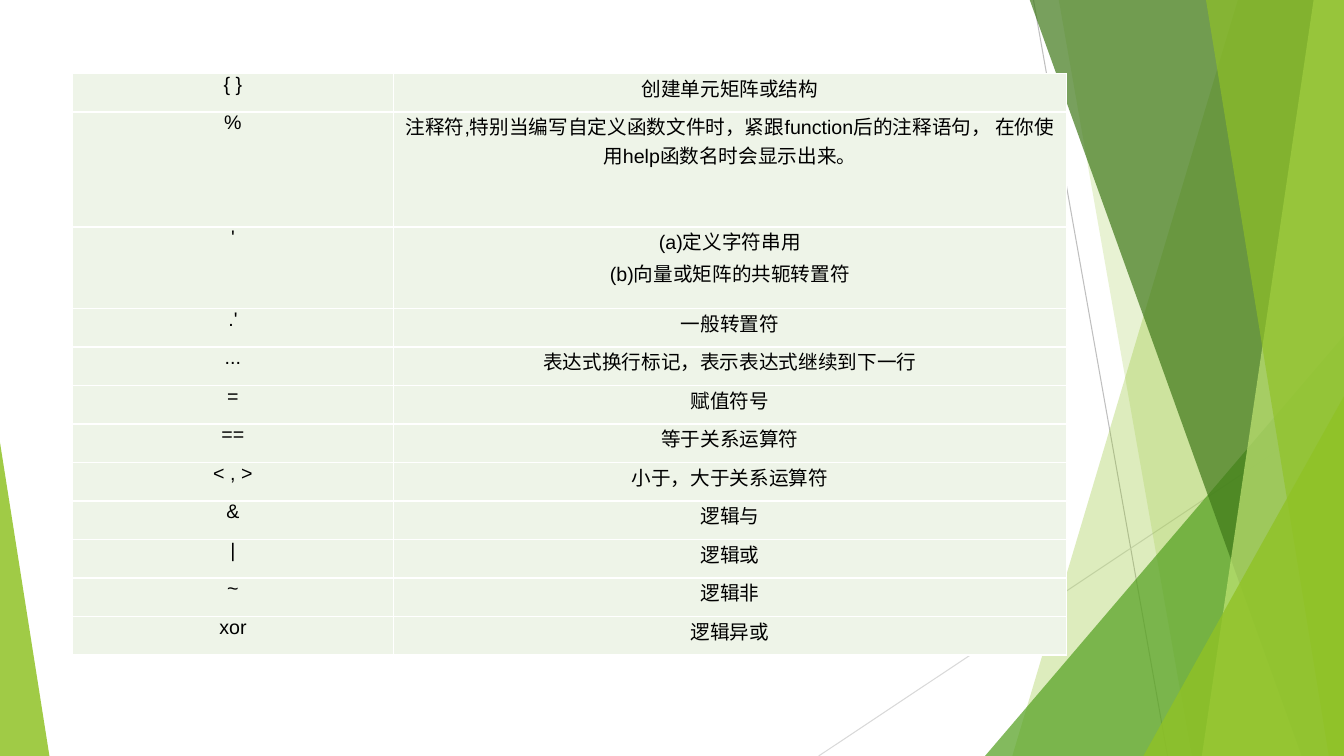
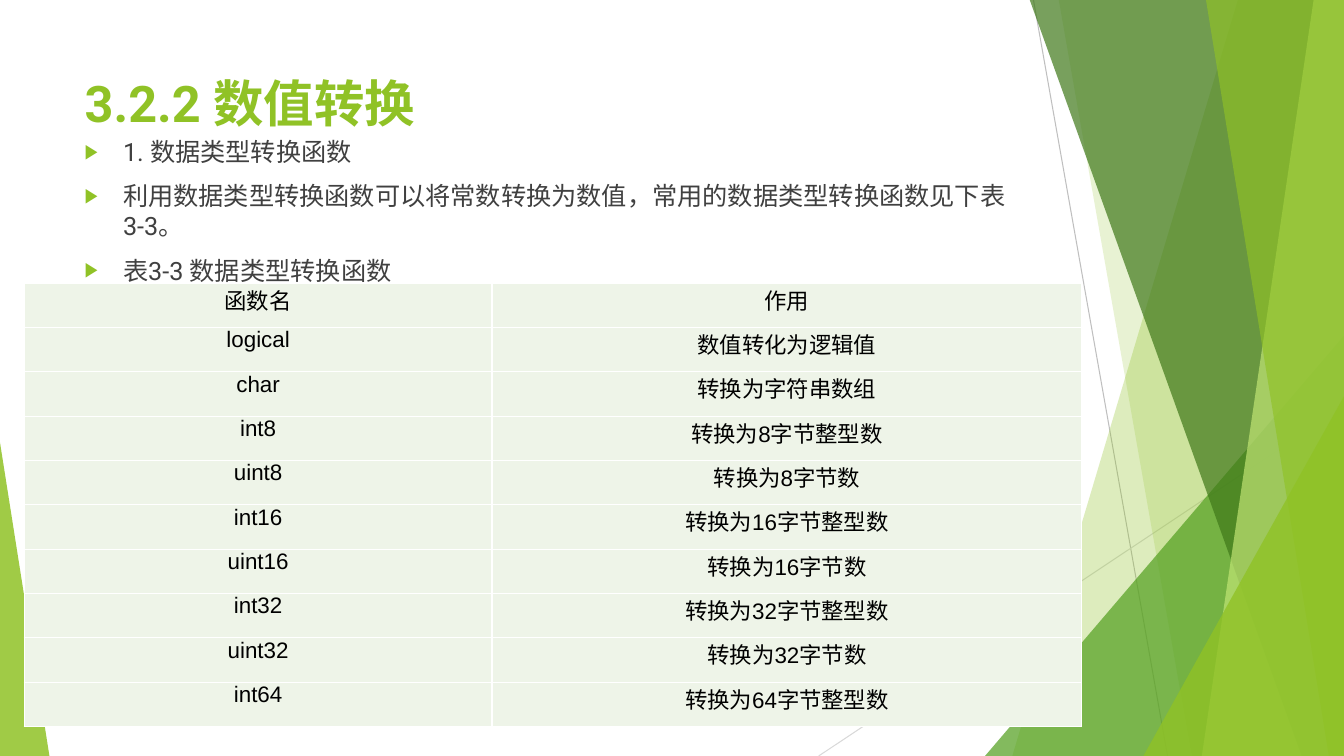
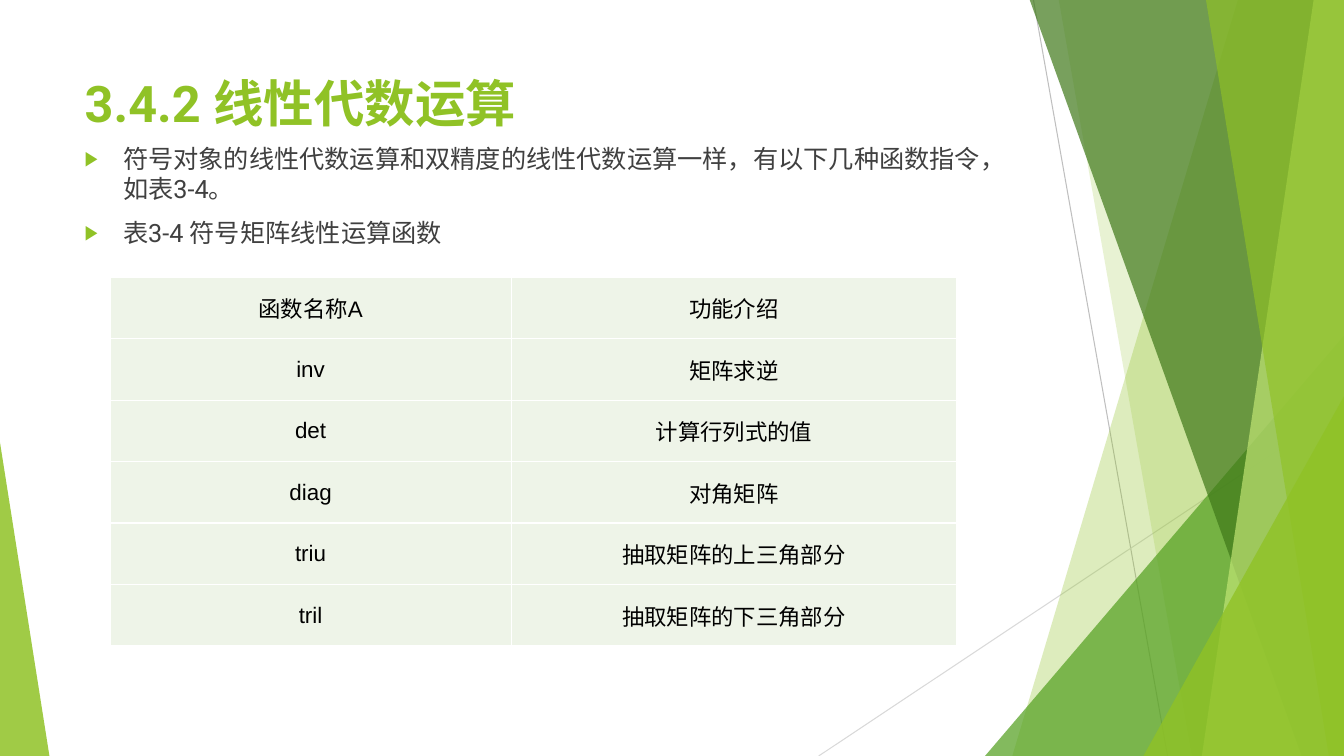
"""Build three slides on operators, conversion functions and linear algebra."""
from dataclasses import dataclass

from lxml.etree import SubElement
from pptx import Presentation
from pptx.dml.color import RGBColor
from pptx.enum.shapes import MSO_CONNECTOR as Connector, MSO_SHAPE as Preset
from pptx.enum.text import MSO_ANCHOR as Anchor, MSO_AUTO_SIZE as AutoSize, PP_ALIGN as Align
from pptx.oxml import parse_xml
from pptx.oxml.ns import nsdecls, qn
from pptx.util import Inches, Pt


@dataclass(frozen=True)
class Theme:
    """Colours, fonts and type sizes of the deck."""

    lime: str = "90C226"
    leaf: str = "54A021"
    forest: str = "3F7819"
    pale: str = "C0E474"
    gray: str = "BFBFBF"
    light_gray: str = "D9D9D9"
    body_text: str = "404040"
    cell_text: str = "000000"
    cell_fill: str = "EEF4E8"
    cell_border: str = "FFFFFF"
    text_font: str = "Roboto"
    table_font: str = "Arial"
    title_size: int = 36
    body_size: int = 18
    table_size: int = 16
    small_table_size: int = 14


THEME = Theme()
WIDTH, HEIGHT = 13.33, 7.5
BLEED_TOP = -0.01
TITLE_BOX = (0.74, 0.67, 9.4, 1.44)
BULLET_INDENT = 0.38

OPERATORS = [
    ("{ }", "创建单元矩阵或结构"),
    ("%", "注释符,特别当编写自定义函数文件时，紧跟function后的注释语句， 在你使用help函数名时会显示出来。"),
    ("'", "(a)定义字符串用\n(b)向量或矩阵的共轭转置符"),
    (".'", "一般转置符"),
    ("...", "表达式换行标记，表示表达式继续到下一行"),
    ("=", "赋值符号"),
    ("==", "等于关系运算符"),
    ("< , >", "小于，大于关系运算符"),
    ("&", "逻辑与"),
    ("|", "逻辑或"),
    ("~", "逻辑非"),
    ("xor", "逻辑异或"),
]
CONVERSIONS = [
    ("函数名", "作用"),
    ("logical", "数值转化为逻辑值"),
    ("char", "转换为字符串数组"),
    ("int8", "转换为8字节整型数"),
    ("uint8", "转换为8字节数"),
    ("int16", "转换为16字节整型数"),
    ("uint16", "转换为16字节数"),
    ("int32", "转换为32字节整型数"),
    ("uint32", "转换为32字节数"),
    ("int64", "转换为64字节整型数"),
]
MATRIX_FUNCTIONS = [
    ("函数名称A", "功能介绍"),
    ("inv", "矩阵求逆"),
    ("det", "计算行列式的值"),
    ("diag", "对角矩阵"),
    ("triu", "抽取矩阵的上三角部分"),
    ("tril", "抽取矩阵的下三角部分"),
]


def color(value):
    """Return the colour object for a hex string."""
    return RGBColor.from_string(value)


def place(shape, box):
    """Move and size a shape, in inches."""
    shape.left, shape.top, shape.width, shape.height = map(Inches, box)


def format_runs(para, size, font, text_color, bold=False):
    """Set the type of every run in a paragraph."""
    for span in para.runs:
        span.font.size = Pt(size)
        span.font.name = font
        span.font.bold = bold
        span.font.color.rgb = color(text_color)


def paint(shape, fill_color, opacity):
    """Give a shape a translucent fill without outline or shadow."""
    shape.shadow.inherit = False
    shape.line.fill.background()
    shape.fill.solid()
    shape.fill.fore_color.rgb = color(fill_color)
    fill = shape.element.xpath("./p:spPr/a:solidFill/a:srgbClr")[0]
    SubElement(fill, qn("a:alpha"), val=str(opacity * 1000))


def add_line(slide, start, end, line_color):
    """Draw a thin straight line."""
    line = slide.shapes.add_connector(Connector.STRAIGHT, *map(Inches, start + end))
    line.line.color.rgb = color(line_color)
    line.line.width = Pt(0.75)
    SubElement(line.element.spPr, qn("a:effectLst"))


def add_band(slide, top_x, bottom_x, fill_color, opacity):
    """Draw a slanted band that reaches the right edge of the slide."""
    corners = [(top_x, BLEED_TOP), (WIDTH, BLEED_TOP), (WIDTH, HEIGHT), (bottom_x, HEIGHT)]
    points = [(Inches(x), Inches(y)) for x, y in corners]
    builder = slide.shapes.build_freeform(*points[0], scale=1.0)
    builder.add_line_segments(points[1:], close=True)
    paint(builder.convert_to_shape(), fill_color, opacity)


def add_corner(slide, left, top, width, tip, fill_color, opacity):
    """Draw a triangle that stands on the bottom edge of the slide."""
    box = map(Inches, (left, top, width, HEIGHT - top))
    corner = slide.shapes.add_shape(Preset.ISOSCELES_TRIANGLE, *box)
    corner.adjustments[0] = tip
    paint(corner, fill_color, opacity)


def add_backdrop(deck, slide):
    """Draw the shared decoration and hand it to the slide master."""
    add_line(slide, (10.25, 0), (11.58, HEIGHT), THEME.gray)
    add_line(slide, (WIDTH, 4.03), (8.12, HEIGHT), THEME.light_gray)
    add_band(slide, 12.28, 10.04, THEME.lime, 30)
    add_band(slide, 10.5, 11.82, THEME.lime, 20)
    add_corner(slide, 9.77, 3.33, 3.56, 1, THEME.leaf, 72)
    add_band(slide, 10.21, 12.91, THEME.forest, 70)
    add_band(slide, 13.03, 11.92, THEME.pale, 70)
    add_band(slide, 11.96, 13.18, THEME.lime, 65)
    add_corner(slide, 11.34, 3.93, 1.99, 1, THEME.lime, 80)
    add_corner(slide, 0, 4.39, 0.49, 0, THEME.lime, 85)
    for number, shape in enumerate(list(slide.shapes), start=100):
        shape.element.xpath(".//p:cNvPr")[0].set("id", str(number))
        deck.slide_master.shapes.element.append(shape.element)


def set_title(slide, text):
    """Fill and format the title placeholder."""
    title = slide.shapes.title
    place(title, TITLE_BOX)
    frame = title.text_frame
    frame.text = text
    frame.auto_size = AutoSize.NONE
    frame.vertical_anchor = Anchor.TOP
    para = frame.paragraphs[0]
    para.alignment = Align.LEFT
    format_runs(para, THEME.title_size, THEME.text_font, THEME.lime, bold=True)


def add_bullet(para):
    """Give a paragraph a green arrow bullet with a hanging indent."""
    props = para._p.get_or_add_pPr()
    props.set("marL", str(Inches(BULLET_INDENT)))
    props.set("indent", str(-Inches(BULLET_INDENT)))
    SubElement(SubElement(props, qn("a:buClr")), qn("a:srgbClr"), val=THEME.lime)
    SubElement(props, qn("a:buSzPct"), val="80000")
    SubElement(props, qn("a:buFont"), typeface=THEME.table_font)
    SubElement(props, qn("a:buChar"), char="▶")


def set_body(slide, box, lines):
    """Fill and format the body placeholder as a bulleted list."""
    body = slide.placeholders[1]
    place(body, box)
    frame = body.text_frame
    frame.text = "\n".join(lines)
    frame.auto_size = AutoSize.NONE
    frame.vertical_anchor = Anchor.TOP
    for para in frame.paragraphs:
        para.space_before = Pt(10)
        add_bullet(para)
        format_runs(para, THEME.body_size, THEME.text_font, THEME.body_text)


def add_borders(cell):
    """Draw thin borders on all sides of a cell."""
    props = cell._tc.get_or_add_tcPr()
    for position, side in enumerate("LRTB"):
        border = parse_xml(
            f'<a:ln{side} {nsdecls("a")} w="{Pt(1)}"><a:solidFill>'
            f'<a:srgbClr val="{THEME.cell_border}"/></a:solidFill></a:ln{side}>'
        )
        props.insert(position, border)


def set_cell(cell, text, size, anchor):
    """Fill and format one table cell."""
    cell.text_frame.text = text
    cell.vertical_anchor = anchor
    cell.margin_left = cell.margin_right = Inches(0.07)
    cell.margin_top = cell.margin_bottom = 0
    cell.fill.solid()
    cell.fill.fore_color.rgb = color(THEME.cell_fill)
    add_borders(cell)
    for para in cell.text_frame.paragraphs:
        para.alignment = Align.CENTER
        para.space_after = Pt(2)
        format_runs(para, size, THEME.table_font, THEME.cell_text)


def add_grid(slide, corner, widths, height, rows, size=THEME.table_size, anchor=Anchor.TOP, tall_rows=None):
    """Add a table whose rows share the height left by the tall ones."""
    tall_rows = tall_rows or {}
    box = map(Inches, (*corner, sum(widths), height))
    table = slide.shapes.add_table(len(rows), len(widths), *box).table
    table.first_row = table.horz_banding = False
    for column, width in zip(table.columns, widths):
        column.width = Inches(width)
    row_height = (height - sum(tall_rows.values())) / (len(rows) - len(tall_rows))
    for index, texts in enumerate(rows):
        table.rows[index].height = Inches(tall_rows.get(index, row_height))
        for cell, text in zip(table.rows[index].cells, texts):
            set_cell(cell, text, size, anchor)


def add_operator_slide(deck):
    """Add the table of operators, with the shared backdrop."""
    slide = deck.slides.add_slide(deck.slide_layouts[6])
    add_backdrop(deck, slide)
    add_grid(slide, (0.72, 0.73), (3.18, 6.68), 5.77, OPERATORS,
             size=THEME.small_table_size, tall_rows={1: 1.14, 2: 0.81})


def add_text_slide(deck, title, body_box, lines):
    """Add a slide with a title and a bulleted list."""
    slide = deck.slides.add_slide(deck.slide_layouts[1])
    set_title(slide, title)
    set_body(slide, body_box, lines)
    return slide


def main():
    """Build and save the deck."""
    deck = Presentation()
    deck.slide_width, deck.slide_height = Inches(WIDTH), Inches(HEIGHT)
    add_operator_slide(deck)

    conversion = add_text_slide(deck, "3.2.2 数值转换", (0.74, 1.3, 9.4, 6.2), [
        "1. 数据类型转换函数",
        "利用数据类型转换函数可以将常数转换为数值，常用的数据类型转换函数见下表3-3。",
        "表3-3 数据类型转换函数",
    ])
    add_grid(conversion, (0.24, 2.81), (4.64, 5.85), 4.4, CONVERSIONS)

    algebra = add_text_slide(deck, "3.4.2 线性代数运算", (0.74, 1.37, 9.4, 5.23), [
        "符号对象的线性代数运算和双精度的线性代数运算一样，有以下几种函数指令，如表3-4。",
        "表3-4 符号矩阵线性运算函数",
    ])
    add_grid(algebra, (1.09, 2.75), (3.98, 4.42), 3.66, MATRIX_FUNCTIONS, anchor=Anchor.MIDDLE)

    deck.save("out.pptx")


if __name__ == "__main__":
    main()
